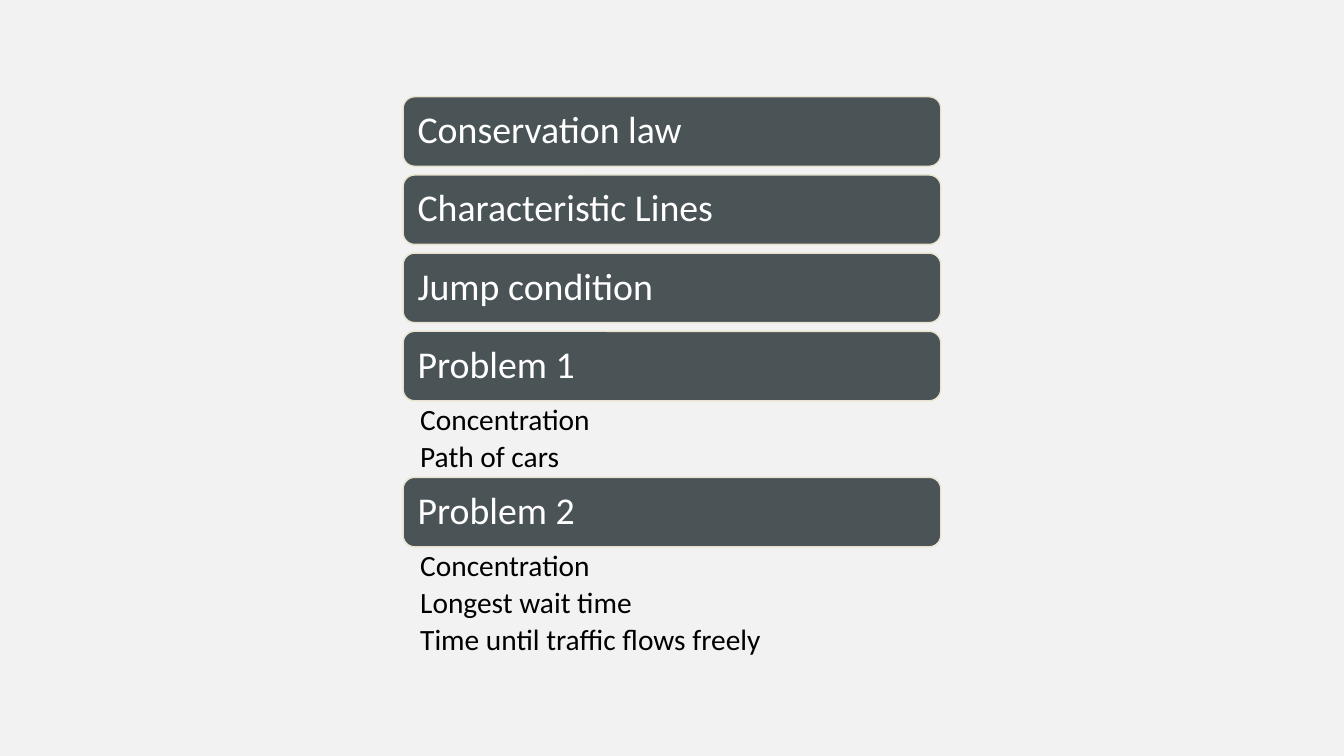
import pptx
import pptx.util
import pptx.dml.color
import pptx.enum.shapes
import pptx.enum.text
from pptx.util import Cm, Pt

FONT = "Calibri"
BAR_HEIGHT, BAR_GAP = 1.75, 0.22
SUBTOPIC_PITCH, LIST_PADDING = 0.94, 0.05

AGENDA = [
    ("Conservation law", []),
    ("Characteristic Lines", []),
    ("Jump condition", []),
    ("Problem 1", ["Concentration", "Path of cars"]),
    ("Problem 2", ["Concentration", "Longest wait time",
                   "Time until traffic flows freely"]),
]


def color(hex_code):
    return pptx.dml.color.RGBColor.from_string(hex_code)


def format_text(frame, size, hex_code, margins, space_after=0):
    """Style every paragraph; margins are left, top, right, bottom in cm."""
    frame.word_wrap = True
    (frame.margin_left, frame.margin_top,
     frame.margin_right, frame.margin_bottom) = map(Cm, margins)
    for paragraph in frame.paragraphs:
        paragraph.alignment = pptx.enum.text.PP_ALIGN.LEFT
        paragraph.line_spacing = 0.9
        paragraph.space_after = Pt(space_after)
        for run in paragraph.runs:
            run.font.name = FONT
            run.font.size = Pt(size)
            run.font.color.rgb = color(hex_code)


def add_topic_bar(slide, topic, left, top, width):
    bar = slide.shapes.add_shape(
        pptx.enum.shapes.MSO_SHAPE.ROUNDED_RECTANGLE,
        Cm(left), Cm(top), Cm(width), Cm(BAR_HEIGHT))
    bar.shadow.inherit = False
    bar.fill.solid()
    bar.fill.fore_color.rgb = color("4A5356")
    bar.line.color.rgb = color("E8E3CE")
    bar.line.width = Pt(1)
    bar.text_frame.text = topic
    bar.text_frame.vertical_anchor = pptx.enum.text.MSO_ANCHOR.MIDDLE
    format_text(bar.text_frame, 27, "FFFFFF", (0.28, 0.28, 0.28, 0.28))


def add_subtopics(slide, subtopics, left, top, width, height):
    box = slide.shapes.add_textbox(Cm(left), Cm(top), Cm(width), Cm(height))
    box.text_frame.text = "\n".join(subtopics)
    format_text(box.text_frame, 21, "000000", (0.43, 0.1, 0.53, 0.1), 3.8)


def add_agenda(slide, left, top, width):
    """Stack the bars; a list of subtopics takes the place of the gap."""
    for topic, subtopics in AGENDA:
        add_topic_bar(slide, topic, left, top, width)
        top += BAR_HEIGHT
        if subtopics:
            height = len(subtopics) * SUBTOPIC_PITCH + LIST_PADDING
            add_subtopics(slide, subtopics, left, top, width, height)
            top += height
        else:
            top += BAR_GAP


def main():
    deck = pptx.Presentation()
    deck.slide_width, deck.slide_height = Cm(33.87), Cm(19.05)
    slide = deck.slides.add_slide(deck.slide_layouts[6])

    # Background
    slide.background.fill.solid()
    slide.background.fill.fore_color.rgb = color("F2F2F2")

    # Agenda, centred across the slide
    add_agenda(slide, left=10.16, top=2.44, width=13.55)
    deck.save("out.pptx")


if __name__ == "__main__":
    main()
